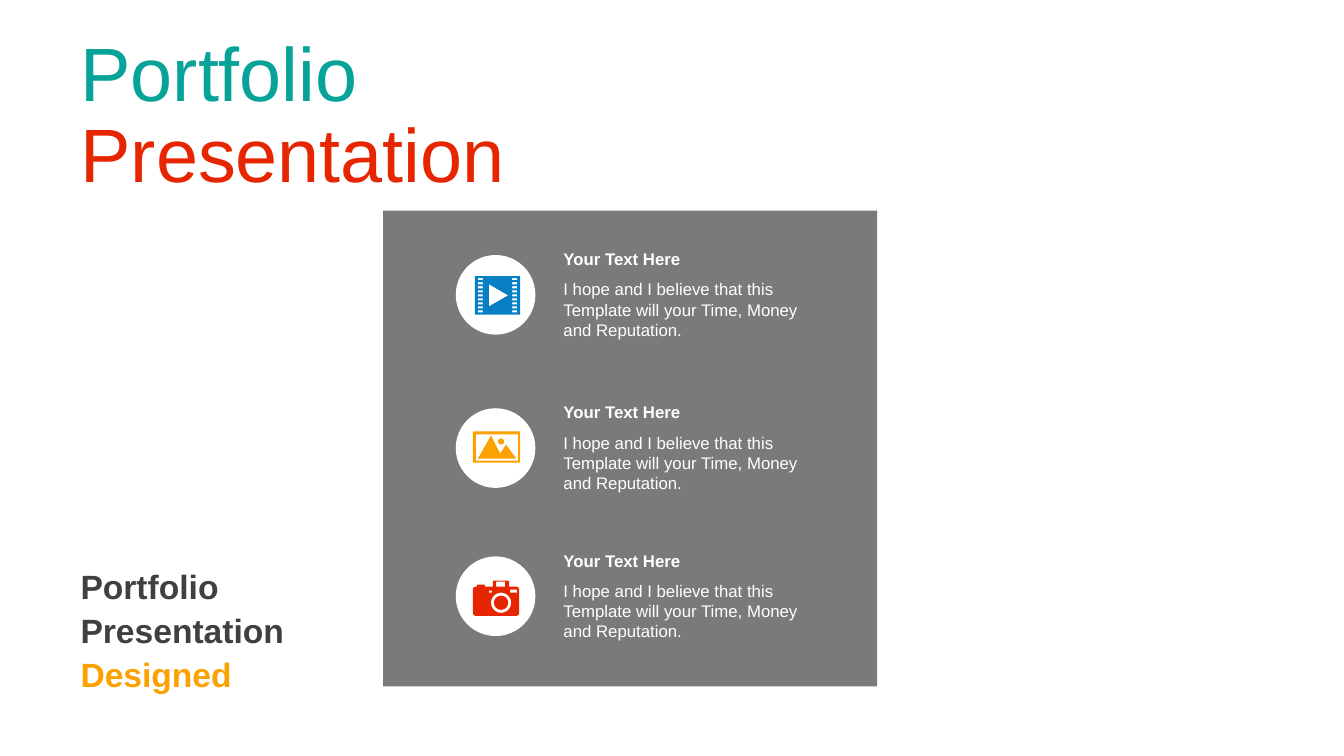
from dataclasses import dataclass
from math import cos, radians, sin

from lxml import etree
from pptx import Presentation
from pptx import util as u
from pptx.dml.color import RGBColor
from pptx.enum import shapes, text
from pptx.oxml import ns

SCALE = 9144
FONT = "Arial"
HUES = {
    "panel": "595959",
    "white": "FFFFFF",
    "dark": "404040",
    "teal": "07A398",
    "red": "E62601",
    "gold": "FBA200",
    "blue": "0680C3",
}
Points = list[tuple[float, float]]


@dataclass
class Run:
    words: str
    hue: str


@dataclass
class Label:
    left: int
    top: int
    width: int
    height: int
    runs: list[Run]
    size: int
    bold: bool = False
    middle: bool = False
    lines: float = 1.0


@dataclass
class Item:
    top: int
    hue: str
    icon: list[Points]


def px(value: float) -> u.Emu:
    return u.Emu(round(value * SCALE))


def color(name: str) -> RGBColor:
    return RGBColor.from_string(HUES[name])


def box(left: int, top: int, right: int, bottom: int) -> Points:
    return [(left, top), (right, top), (right, bottom), (left, bottom)]


def arc(x: int, y: int, radius: int, start: int, sweep: int = 90) -> Points:
    angles = [radians(start + step) for step in range(0, sweep + 1, 10)]
    return [(x + radius * cos(a), y + radius * sin(a)) for a in angles]


def disc(x: int, y: int, radius: int) -> Points:
    return arc(x, y, radius, 0, 350)


def paint(shape, hue: str) -> None:
    shape.shadow.inherit = False
    shape.fill.solid()
    shape.fill.fore_color.rgb = color(hue)
    shape.line.fill.background()


def draw_shape(slide, kind, left: int, top: int, width: int, height: int, hue: str):
    shape = slide.shapes.add_shape(kind, px(left), px(top), px(width), px(height))
    paint(shape, hue)
    return shape


def draw_icon(slide, icon: list[Points], hue: str) -> None:
    first, *others = [[(px(x), px(y)) for x, y in ring] for ring in icon]
    pen = slide.shapes.build_freeform(*first[0])
    pen.add_line_segments(first[1:])
    for ring in others:
        pen.move_to(*ring[0])
        pen.add_line_segments(ring[1:])
    paint(pen.convert_to_shape(), hue)


def draw_label(slide, label: Label) -> None:
    shape = slide.shapes.add_textbox(
        px(label.left), px(label.top), px(label.width), px(label.height)
    )
    frame = shape.text_frame
    frame.word_wrap = True
    if label.middle:
        frame.vertical_anchor = text.MSO_ANCHOR.MIDDLE
    else:
        frame.auto_size = text.MSO_AUTO_SIZE.SHAPE_TO_FIT_TEXT
    para = frame.paragraphs[0]
    para.line_spacing = label.lines
    para.font.name = FONT
    para.font.size = u.Pt(label.size)
    para.font.bold = label.bold
    for part in label.runs:
        run = para.add_run()
        run.text = part.words
        run.font.color.rgb = color(part.hue)


def draw_item(slide, item: Item) -> None:
    draw_shape(slide, shapes.MSO_SHAPE.OVAL, 452, item.top, 79, 79, "white")
    draw_icon(slide, item.icon, item.hue)
    head = [Run("Your Text Here", "white")]
    body = [Run(
        "I hope and I believe that this Template will your Time, "
        "Money and Reputation.", "white"
    )]
    draw_label(slide, Label(549, item.top - 11, 261, 30, head, 12, bold=True))
    draw_label(slide, Label(549, item.top + 19, 263, 71, body, 12))


FILM = [
    box(471, 274, 516, 312),
    [(485, 282), (504, 293), (485, 304)],
    *[
        box(left, top, left + 5, top + 2)
        for left in (474, 508)
        for top in range(276, 309, 4)
    ],
]
PHOTO = [
    box(469, 428, 516, 459),
    box(472, 431, 514, 457),
    [(474, 455), (487, 432), (496, 450), (502, 441), (512, 455)],
    disc(497, 438, 3),
]
CAMERA = [
    [
        *arc(472, 585, 3, 180),
        (473, 582), (473, 580), (481, 580), (481, 582),
        (489, 582), *arc(490, 577, 1, 180),
        *arc(504, 577, 1, 270), (505, 582),
        *arc(512, 585, 3, 270),
        *arc(512, 608, 3, 0),
        *arc(472, 608, 3, 90),
    ],
    box(492, 577, 501, 582),
    box(485, 586, 488, 588),
    box(506, 585, 513, 588),
    disc(497, 598, 10),
    disc(497, 598, 7),
]
ITEMS = [
    Item(253, "blue", FILM),
    Item(405, "gold", PHOTO),
    Item(552, "red", CAMERA),
]
TITLE = Label(
    70, 26, 490, 181,
    [Run("Portfolio ", "teal"), Run("Presentation", "red")],
    54, middle=True, lines=0.9,
)
TAG = Label(
    70, 538, 258, 170,
    [Run("Portfolio Presentation ", "dark"), Run("Designed", "gold")],
    24, bold=True, middle=True, lines=1.1,
)


def main() -> None:
    deck = Presentation()
    deck.slide_width, deck.slide_height = px(1333), px(750)
    slide = deck.slides.add_slide(deck.slide_layouts[6])
    panel = draw_shape(slide, shapes.MSO_SHAPE.RECTANGLE, 380, 209, 490, 472, "panel")
    tint = panel.fill._xPr.find(".//" + ns.qn("a:srgbClr"))
    etree.SubElement(tint, ns.qn("a:alpha"), val="80000")
    for item in ITEMS:
        draw_item(slide, item)
    draw_label(slide, TAG)
    draw_label(slide, TITLE)
    deck.save("out.pptx")


if __name__ == "__main__":
    main()
